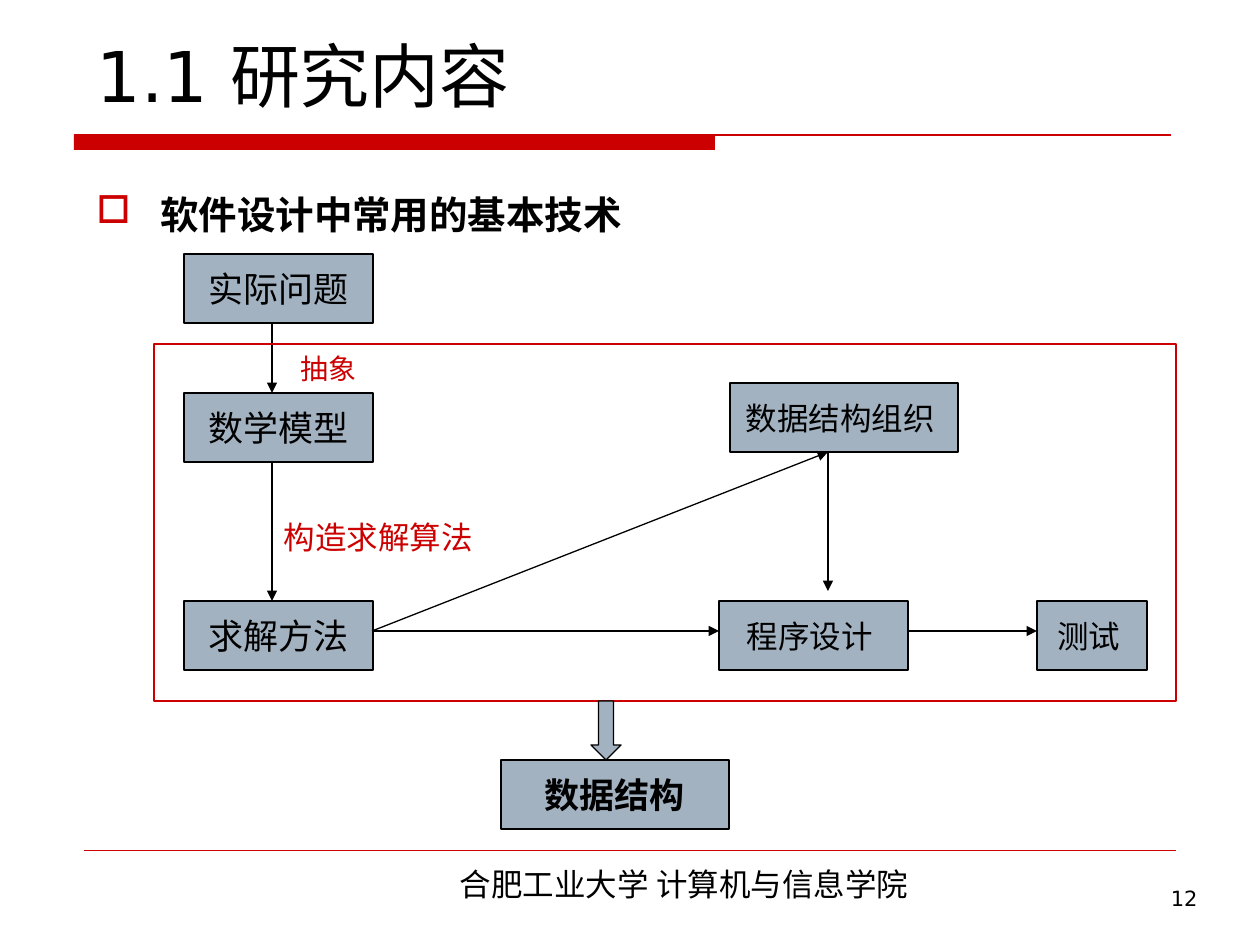
import dataclasses
import typing

import lxml.etree
import pptx
import pptx.dml.color
import pptx.enum.shapes
import pptx.enum.text
import pptx.oxml.ns
import pptx.util

SCALE = 914400 / 126  # EMU in one px
KIND = pptx.enum.shapes.MSO_SHAPE
ALIGN = pptx.enum.text.PP_ALIGN
ANCHOR = pptx.enum.text.MSO_ANCHOR


@dataclasses.dataclass(frozen=True)
class Theme:
    red: str = "CC0000"
    black: str = "000000"
    steel: str = "A3B2C1"
    sans: str = "Arial"
    wide: str = "DejaVu Sans"
    serif: str = "Times New Roman"
    han: str = "Noto Sans CJK SC"
    title: int = 40
    lead: int = 22
    large: int = 20
    mid: int = 18
    small: int = 16
    page: int = 12
    line: float = 0.75
    hair: float = 0.25


THEME = Theme()


class Area(typing.NamedTuple):
    left: int
    top: int
    width: int
    height: int


class Style(typing.NamedTuple):
    size: int
    font: str = THEME.sans
    color: str = THEME.black
    bold: bool = False


class Label(typing.NamedTuple):
    area: Area
    text: str
    style: Style


class Link(typing.NamedTuple):
    start: tuple[int, int]
    end: tuple[int, int]


ROW, HIGH = 601, 69
LARGE, MID = Style(THEME.large), Style(THEME.mid)
BOXES = [
    Label(Area(184, 254, 189, HIGH), "实际问题", LARGE),
    Label(Area(184, 393, 189, HIGH), "数学模型", LARGE),
    Label(Area(184, ROW, 189, HIGH), "求解方法", LARGE),
    Label(Area(1037, ROW, 110, HIGH), "测试 ", MID),
    Label(Area(719, ROW, 189, HIGH), "程序设计 ", MID),
    Label(Area(730, 383, 228, HIGH), "数据结构组织 ", MID),
    Label(Area(501, 760, 228, HIGH), "数据结构", Style(THEME.large, bold=True)),
]
NOTES = [
    Label(Area(292, 344, 79, 49), "抽象 ", Style(THEME.small, color=THEME.red)),
    Label(Area(284, 512, 189, 49), "构造求解算法", Style(THEME.mid, color=THEME.red)),
]
LINKS = [
    Link((272, 323), (272, 393)),
    Link((272, 462), (272, ROW)),
    Link((372, 631), (828, 452)),
    Link((828, 452), (828, 591)),
    Link((372, 631), (719, 631)),
    Link((907, 631), (1037, 631)),
]


def px(count: int) -> pptx.util.Emu:
    return pptx.util.Emu(round(count * SCALE))


def rgb(code: str) -> pptx.dml.color.RGBColor:
    return pptx.dml.color.RGBColor.from_string(code)


def add_tag(parent: typing.Any, name: str, **attrs: str) -> typing.Any:
    return lxml.etree.SubElement(parent, pptx.oxml.ns.qn(name), **attrs)


def write(shape: typing.Any, text: str, style: Style, align: ALIGN = ALIGN.CENTER,
          anchor: ANCHOR = ANCHOR.MIDDLE, wrap: bool = False) -> typing.Any:
    """Put one run into the shape and return its paragraph."""
    frame = shape.text_frame
    frame.auto_size = pptx.enum.text.MSO_AUTO_SIZE.NONE
    frame.word_wrap = wrap
    frame.vertical_anchor = anchor
    para = frame.paragraphs[0]
    para.alignment = align
    run = para.add_run()
    run.text = text
    font = run.font
    font.size = pptx.util.Pt(style.size)
    font.bold = style.bold
    font.color.rgb = rgb(style.color)
    font.name = style.font
    add_tag(run._r.get_or_add_rPr(), "a:ea", typeface=THEME.han)
    return para


def add_text(slide: typing.Any, label: Label, align: ALIGN = ALIGN.CENTER,
             anchor: ANCHOR = ANCHOR.MIDDLE, wrap: bool = False) -> typing.Any:
    box = slide.shapes.add_textbox(*map(px, label.area))
    return write(box, label.text, label.style, align, anchor, wrap)


def add_shape(slide: typing.Any, kind: KIND, area: Area, fill: str | None = None,
              line: str = THEME.black) -> typing.Any:
    shape = slide.shapes.add_shape(kind, *map(px, area))
    shape.shadow.inherit = False
    if fill:
        shape.fill.solid()
        shape.fill.fore_color.rgb = rgb(fill)
    else:
        shape.fill.background()
    shape.line.color.rgb = rgb(line)
    shape.line.width = pptx.util.Pt(THEME.line)
    return shape


def add_line(slide: typing.Any, link: Link, color: str = THEME.black,
             width: float = THEME.line, arrow: bool = False) -> None:
    line = slide.shapes.add_connector(
        pptx.enum.shapes.MSO_CONNECTOR.STRAIGHT, *map(px, link.start + link.end))
    line.line.color.rgb = rgb(color)
    line.line.width = pptx.util.Pt(width)
    if arrow:
        add_tag(line.line._get_or_add_ln(), "a:tailEnd", type="triangle")
    add_tag(line._element.spPr, "a:effectLst")


def add_bullet(para: typing.Any, mark: str, indent: int) -> None:
    props = para._p.get_or_add_pPr()
    props.set("marL", str(px(indent)))
    props.set("indent", str(px(-indent)))
    add_tag(add_tag(props, "a:buClr"), "a:srgbClr", val=THEME.red)
    add_tag(props, "a:buChar", char=mark)


def draw_base(slide: typing.Any) -> None:
    """Draw the title, the rules and the footer."""
    title = slide.shapes.title
    title.left, title.top, title.width, title.height = map(px, Area(84, 0, 1102, 123))
    write(title, "1.1 研究内容", Style(THEME.title, THEME.wide),
          ALIGN.LEFT, ANCHOR.BOTTOM, True)
    band = add_shape(slide, KIND.RECTANGLE, Area(74, 135, 641, 15), THEME.red)
    band.line.fill.background()
    add_line(slide, Link((74, 135), (1171, 135)), THEME.red)
    add_line(slide, Link((84, 850), (1176, 850)), THEME.red, THEME.hair)
    add_text(slide, Label(Area(302, 859, 764, 50), "合肥工业大学 计算机与信息学院",
                          Style(THEME.mid, THEME.han)), anchor=ANCHOR.TOP, wrap=True)
    add_text(slide, Label(Area(937, 879, 273, 66), "12", Style(THEME.page, THEME.wide)),
             ALIGN.RIGHT, ANCHOR.TOP, True)


def draw_flow(slide: typing.Any) -> None:
    lead = Label(Area(84, 185, 1101, 60), "软件设计中常用的基本技术",
                 Style(THEME.lead, THEME.serif, bold=True))
    add_bullet(add_text(slide, lead, ALIGN.LEFT, ANCHOR.TOP, True), "□", 64)
    for box in BOXES:
        shape = add_shape(slide, KIND.RECTANGLE, box.area, THEME.steel)
        write(shape, box.text, box.style)
    for note in NOTES:
        add_text(slide, note)
    for link in LINKS:
        add_line(slide, link, arrow=True)
    add_shape(slide, KIND.RECTANGLE, Area(154, 344, 1022, 357), line=THEME.red)
    add_shape(slide, KIND.DOWN_ARROW, Area(591, 701, 30, 59), THEME.steel)


def main() -> None:
    deck = pptx.Presentation()
    deck.slide_width, deck.slide_height = px(1260), px(945)
    slide = deck.slides.add_slide(deck.slide_layouts.get_by_name("Title Only"))
    draw_base(slide)
    draw_flow(slide)
    deck.save("out.pptx")


if __name__ == "__main__":
    main()
